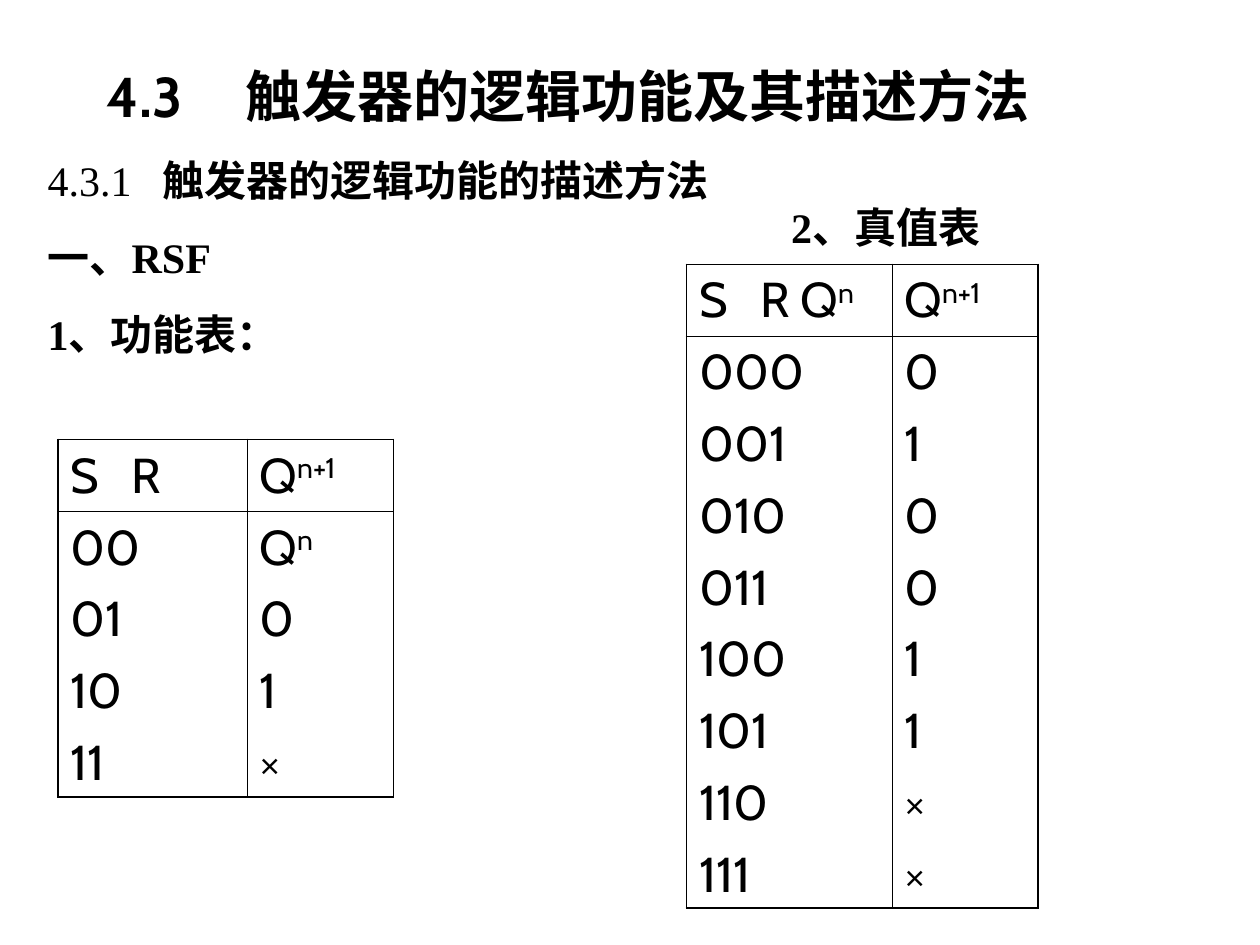
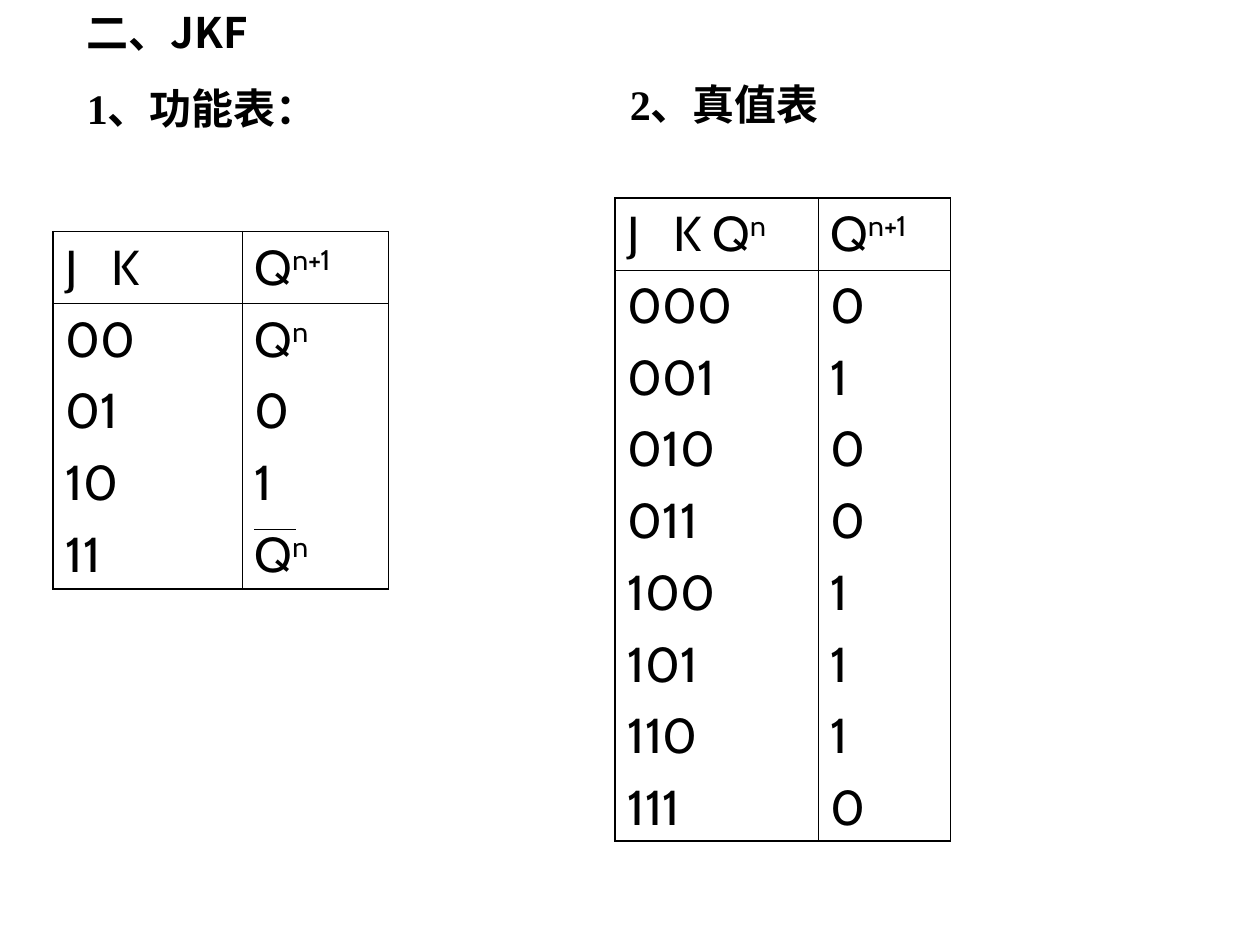
import itertools

import pptx
import pptx.dml.color
import pptx.enum.shapes
import pptx.enum.text
import pptx.oxml.ns
import pptx.util
from lxml import etree

Cm = pptx.util.Cm
Pt = pptx.util.Pt
qn = pptx.oxml.ns.qn

BLACK = "000000"
SERIF, SANS, CJK = "Times New Roman", "Cabin", "Noto Sans CJK SC"
OUTER, INNER = 1.08, 0.45
INSET = 0.25
HEADER_H, LINE_H = 1.45, 1.44


def color(hex_value):
    return pptx.dml.color.RGBColor.from_string(hex_value)


def add_text(p, text, size=24, font=SERIF, bold=False, raised=False):
    r = p.add_run()
    r.text = text
    r.font.size = Pt(size)
    r.font.name = font
    r.font.bold = bold
    r.font.color.rgb = color(BLACK)
    rPr = r._r.get_or_add_rPr()
    etree.SubElement(rPr, qn("a:ea")).set("typeface", CJK)
    if raised:
        rPr.set("baseline", "30000")


def format_paragraph(p, before=0, tab=None):
    p.alignment = pptx.enum.text.PP_ALIGN.LEFT
    p.space_before = Pt(before)
    if tab:
        tabs = etree.SubElement(p._p.get_or_add_pPr(), qn("a:tabLst"))
        etree.SubElement(tabs, qn("a:tab"), pos=str(Cm(tab)), algn="l")


def paragraphs(tf, count):
    return [tf.paragraphs[0]] + [tf.add_paragraph() for _ in range(count - 1)]


def text_box(s, box):
    tf = s.shapes.add_textbox(*map(Cm, box)).text_frame
    tf.word_wrap = True
    return tf


def title(s, box, text, tab):
    tf = text_box(s, box)
    tf.vertical_anchor = pptx.enum.text.MSO_ANCHOR.BOTTOM
    p = tf.paragraphs[0]
    format_paragraph(p, tab=tab)
    add_text(p, text, size=32, font=SANS, bold=True)


def headings(s, box, lines, tab=None):
    tf = text_box(s, box)
    tf.auto_size = pptx.enum.text.MSO_AUTO_SIZE.SHAPE_TO_FIT_TEXT
    for p, runs in zip(paragraphs(tf, len(lines)), lines):
        format_paragraph(p, before=15, tab=tab)
        for text, style in runs:
            add_text(p, text, **{"bold": True, **style})


def truth_caption(s, left, top):
    headings(s, (left, top, 5.64, 1.27), [[("2、真值表", {})]])


def set_borders(cell, row, col):
    tcPr = cell._tc.get_or_add_tcPr()
    outer = {"L": col == 0, "R": col == 1, "T": row == 0, "B": row == 1}
    for side, is_outer in outer.items():
        width = Pt(OUTER if is_outer else INNER)
        ln = etree.SubElement(tcPr, qn("a:ln" + side), w=str(width))
        fill = etree.SubElement(ln, qn("a:solidFill"))
        etree.SubElement(fill, qn("a:srgbClr"), val=BLACK)
    cell.fill.background()


def fill_cell(cell, entries, tab=None):
    for p, entry in zip(paragraphs(cell.text_frame, len(entries)), entries):
        format_paragraph(p, before=7, tab=tab)
        base, _, exponent = entry.partition("^")
        add_text(p, base, size=28, font=SANS)
        if exponent:
            add_text(p, exponent, size=28, font=SANS, raised=True)


def state_table(s, left, top, widths, inputs, outputs, tab):
    bits = len(outputs).bit_length() - 1
    states = ["".join(state) for state in itertools.product("01", repeat=bits)]
    heights = (HEADER_H, LINE_H * len(outputs))
    size = (sum(widths), sum(heights))
    table = s.shapes.add_table(2, 2, *map(Cm, (left, top, *size))).table
    table.first_row = False
    table.horz_banding = False
    for column, width in zip(table.columns, widths):
        column.width = Cm(width)
    contents = [[[inputs], ["Q^n+1"]], [states, outputs]]
    for row, height in enumerate(heights):
        table.rows[row].height = Cm(height)
        for col in range(2):
            cell = table.cell(row, col)
            fill_cell(cell, contents[row][col], tab)
            set_borders(cell, row, col)


def overbar(s, left, top, width):
    line = s.shapes.add_connector(
        pptx.enum.shapes.MSO_CONNECTOR.STRAIGHT,
        Cm(left), Cm(top), Cm(left + width), Cm(top))
    line.line.color.rgb = color(BLACK)
    line.line.width = Pt(0.75)
    etree.SubElement(line._element.spPr, qn("a:effectLst"))


def rs_slide(s):
    tab = 1.23
    headings(s, (0.71, 3, 19.02, 4.37), [
        [("4.3.1\t", {"bold": False}), ("触发器的逻辑功能的描述方法", {})],
        [("一、RSF", {})],
        [("1、功能表：", {})],
    ], tab=2.31)
    state_table(s, 1.17, 8.86, (3.81, 2.95), "S\tR",
                ["Q^n", "0", "1", "×"], tab)
    state_table(s, 13.84, 5.33, (4.14, 2.95), "S\tR Q^n", list("010011××"), tab)
    truth_caption(s, 15.7, 3.94)
    title(s, (1.9, 1.22, 21.59, 1.5), "4.3\t触发器的逻辑功能及其描述方法", tab=2.79)


def jk_slide(s):
    tab = 0.92
    left, top, widths = 1.07, 4.67, (3.81, 2.95)
    headings(s, (1.5, 0, 19.02, 2.82), [
        [("二、JKF", {"font": CJK})],
        [("1、功能表：", {})],
    ])
    state_table(s, left, top, widths, "J\tK", ["Q^n", "0", "1", "Q^n"], tab)
    state_table(s, 12.4, 3.99, (4.09, 2.67), "J\tK Q^n", list("01001110"), tab)
    truth_caption(s, 12.45, 1.45)
    overbar(s, left + widths[0] + INSET, top + 6, 0.84)


def main():
    prs = pptx.Presentation()
    prs.slide_width = Cm(25.4)
    prs.slide_height = Cm(19.05)
    for build in (rs_slide, jk_slide):
        build(prs.slides.add_slide(prs.slide_layouts[6]))
    prs.save("out.pptx")


if __name__ == "__main__":
    main()
